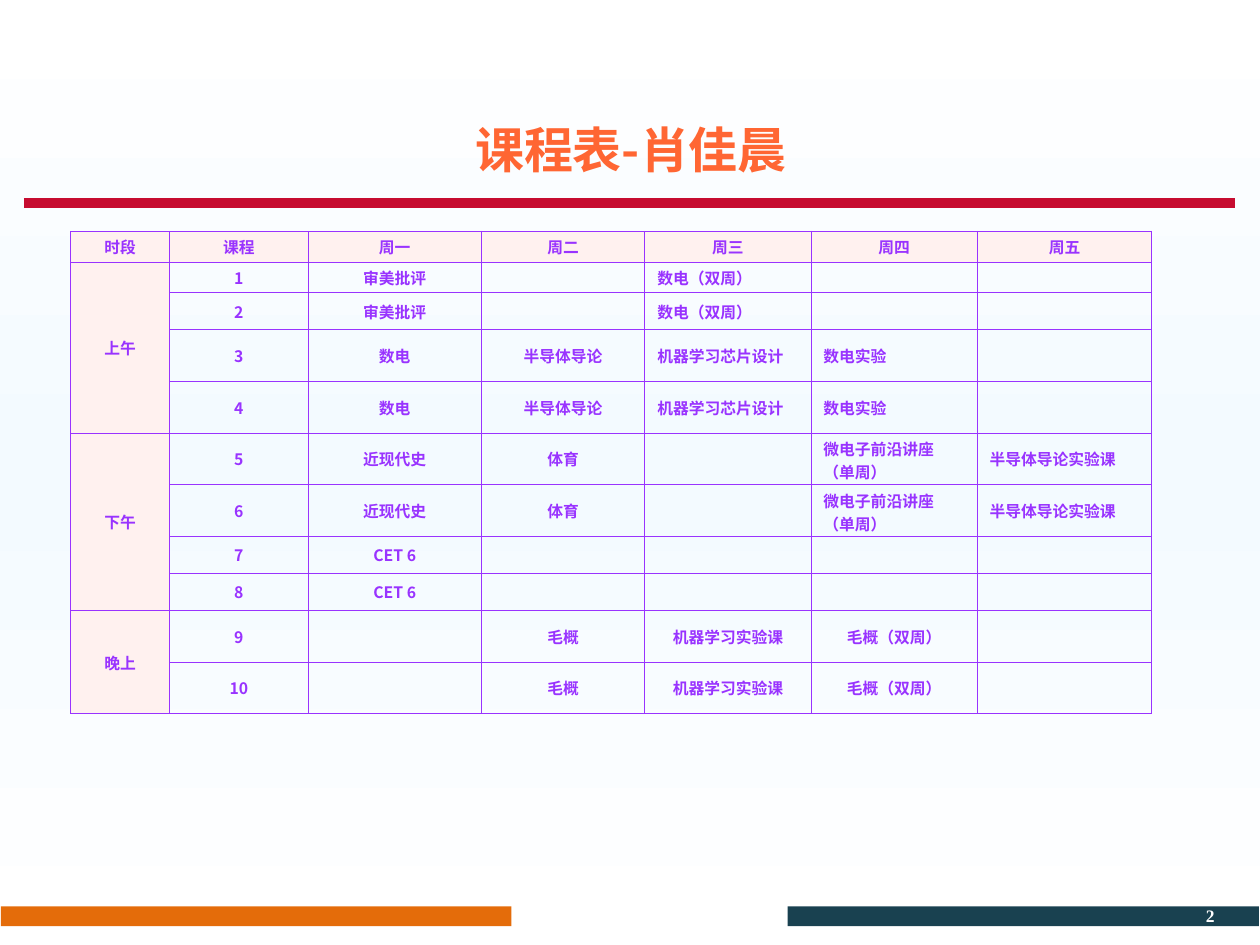
from copy import deepcopy
from lxml.etree import SubElement
from pptx import Presentation
from pptx.dml.color import RGBColor
from pptx.enum.shapes import MSO_CONNECTOR, MSO_SHAPE
from pptx.enum.text import MSO_ANCHOR, PP_ALIGN
from pptx.oxml.ns import qn
from pptx.util import Cm, Pt


def paint(target, color):
    if hasattr(target, "solid"):
        target.solid()
        target = target.fore_color
    else:
        target = target.color
    target.rgb = RGBColor.from_string(color)


def write(para, text, size, color, font, align):
    para.alignment = align
    span = para.add_run()
    span.text = text
    span.font.size = Pt(size)
    span.font.bold = True
    span.font.name = font
    paint(span.font.fill, color)
    SubElement(span._r.rPr, qn("a:ea")).set("typeface", font)


SANS = "Noto Sans CJK SC"
PURPLE = "9933FF"

deck = Presentation()
deck.slide_width, deck.slide_height = Cm(25.4), Cm(19.05)
page = deck.slides.add_slide(deck.slide_layouts[6])

backdrop = page.background.fill
backdrop.gradient()
backdrop.gradient_angle = 270
stop_list = page._element.find(".//" + qn("a:gsLst"))
stop_list.append(deepcopy(stop_list[-1]))
for stop, (position, color) in zip(
    backdrop.gradient_stops, [(0, "FFFFFF"), (0.5, "F3FAFF"), (1, "FFFFFF")]
):
    stop.position = position
    stop.color.rgb = RGBColor.from_string(color)

for left, width, color in [(0.02, 10.29, "E46C0A"), (15.88, 9.5, "194150")]:
    bar = page.shapes.add_shape(MSO_SHAPE.RECTANGLE, Cm(left), Cm(18.27), Cm(width), Cm(0.4))
    bar.shadow.inherit = False
    paint(bar.fill, color)
    bar.line.fill.background()

title = page.shapes.add_textbox(Cm(0.02), Cm(2.28), Cm(25.4), Cm(1.45))
title.text_frame.word_wrap = True
write(title.text_frame.paragraphs[0], "课程表-肖佳晨", 28, "FF6633", SANS, PP_ALIGN.CENTER)

rule = page.shapes.add_connector(MSO_CONNECTOR.STRAIGHT, Cm(0.48), Cm(4.09), Cm(24.89), Cm(4.09))
paint(rule.line, "C60C30")
rule.line.width = Pt(6)
SubElement(rule._element.spPr, qn("a:effectLst"))

number = page.shapes.add_textbox(Cm(24.18), Cm(18.12), Cm(0.43), Cm(0.68))
frame = number.text_frame
frame.word_wrap = False
frame.vertical_anchor = MSO_ANCHOR.MIDDLE
frame.margin_left = frame.margin_right = frame.margin_top = frame.margin_bottom = Cm(0.13)
write(frame.paragraphs[0], "2", 10, "FFFFFF", "Times New Roman", PP_ALIGN.RIGHT)

lessons = [
    ["时段", "课程", "周一", "周二", "周三", "周四", "周五"],
    ["上午", "1", "审美批评", "", "数电（双周）", "", ""],
    ["", "2", "审美批评", "", "数电（双周）", "", ""],
    ["", "3", "数电", "半导体导论", "机器学习芯片设计", "数电实验", ""],
    ["", "4", "数电", "半导体导论", "机器学习芯片设计", "数电实验", ""],
    ["下午", "5", "近现代史", "体育", "", "微电子前沿讲座（单周）", "半导体导论实验课"],
    ["", "6", "近现代史", "体育", "", "微电子前沿讲座（单周）", "半导体导论实验课"],
    ["", "7", "CET 6", "", "", "", ""],
    ["", "8", "CET 6", "", "", "", ""],
    ["晚上", "9", "", "毛概", "机器学习实验课", "毛概（双周）", ""],
    ["", "10", "", "毛概", "机器学习实验课", "毛概（双周）", ""],
]
widths = [2, 2.79, 3.49, 3.3, 3.35, 3.35, 3.52]
heights = [0.62, 0.62, 0.75, 1.04, 1.04, 1.04, 1.04, 0.75, 0.75, 1.04, 1.04]

timetable = page.shapes.add_table(
    len(heights), len(widths), Cm(1.42), Cm(4.66), Cm(sum(widths)), Cm(sum(heights))
).table
for column, width in zip(timetable.columns, widths):
    column.width = Cm(width)
for row, height in zip(timetable.rows, heights):
    row.height = Cm(height)
for first, last in [(1, 4), (5, 8), (9, 10)]:
    timetable.cell(first, 0).merge(timetable.cell(last, 0))

for r, lesson_row in enumerate(lessons):
    for c, lesson in enumerate(lesson_row):
        cell = timetable.cell(r, c)
        cell.vertical_anchor = MSO_ANCHOR.MIDDLE
        cell.margin_left = cell.margin_right = Cm(0.25)
        cell.margin_top = cell.margin_bottom = Cm(0.09)
        para = cell.text_frame.paragraphs[0]
        if lesson:
            left_aligned = 1 <= r <= 8 and c >= 4
            align = PP_ALIGN.LEFT if left_aligned else PP_ALIGN.CENTER
            write(para, lesson, 9, PURPLE, SANS, align)
        else:
            para._p.get_or_add_endParaRPr().set("sz", "900")
        properties = cell._tc.get_or_add_tcPr()
        for side in ("a:lnL", "a:lnR", "a:lnT", "a:lnB"):
            border = SubElement(properties, qn(side), w=str(Pt(0.5)))
            SubElement(SubElement(border, qn("a:solidFill")), qn("a:srgbClr"), val=PURPLE)
        if r == 0 or c == 0:
            paint(cell.fill, "FFF1EF")
        else:
            cell.fill.background()

deck.save("out.pptx")
